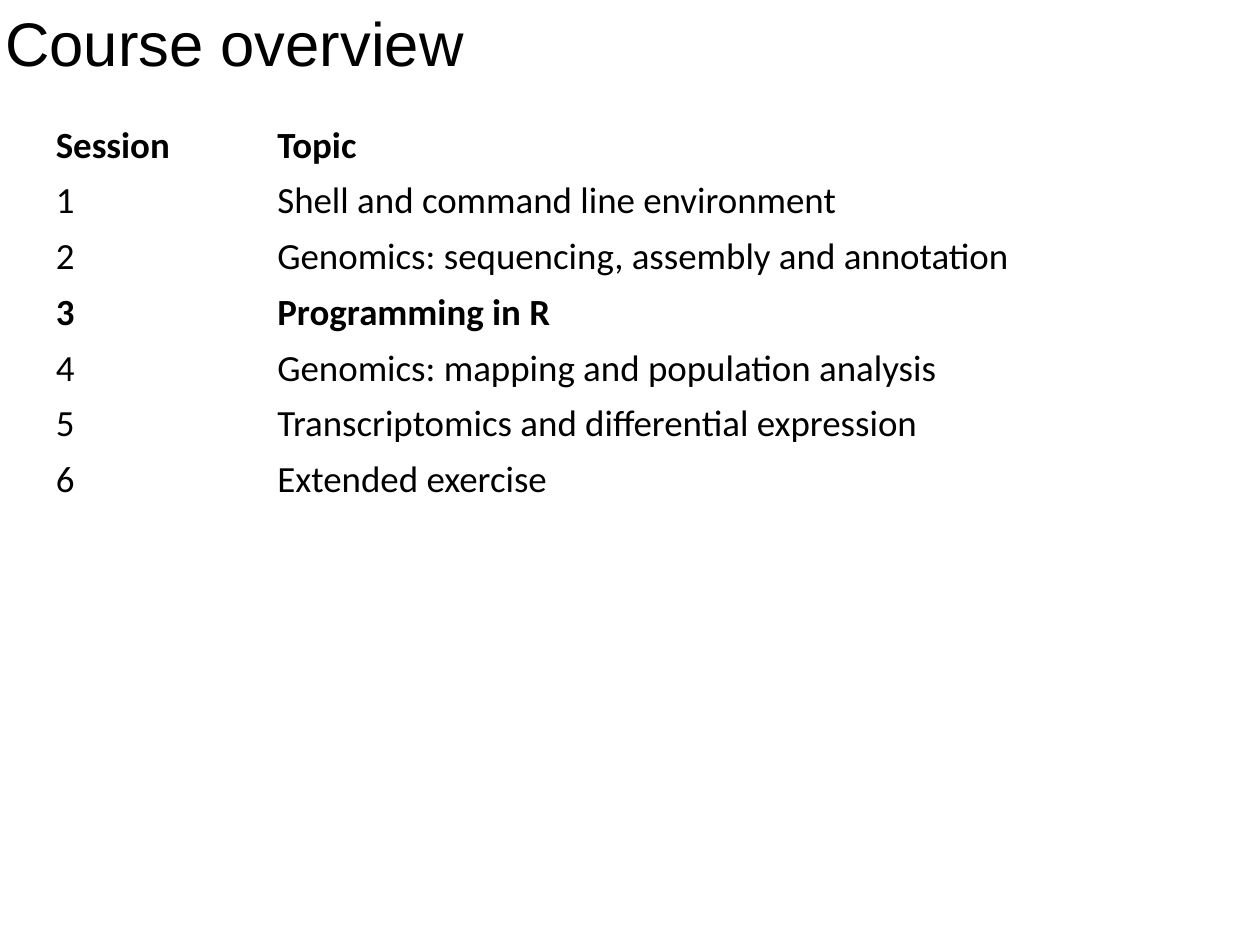
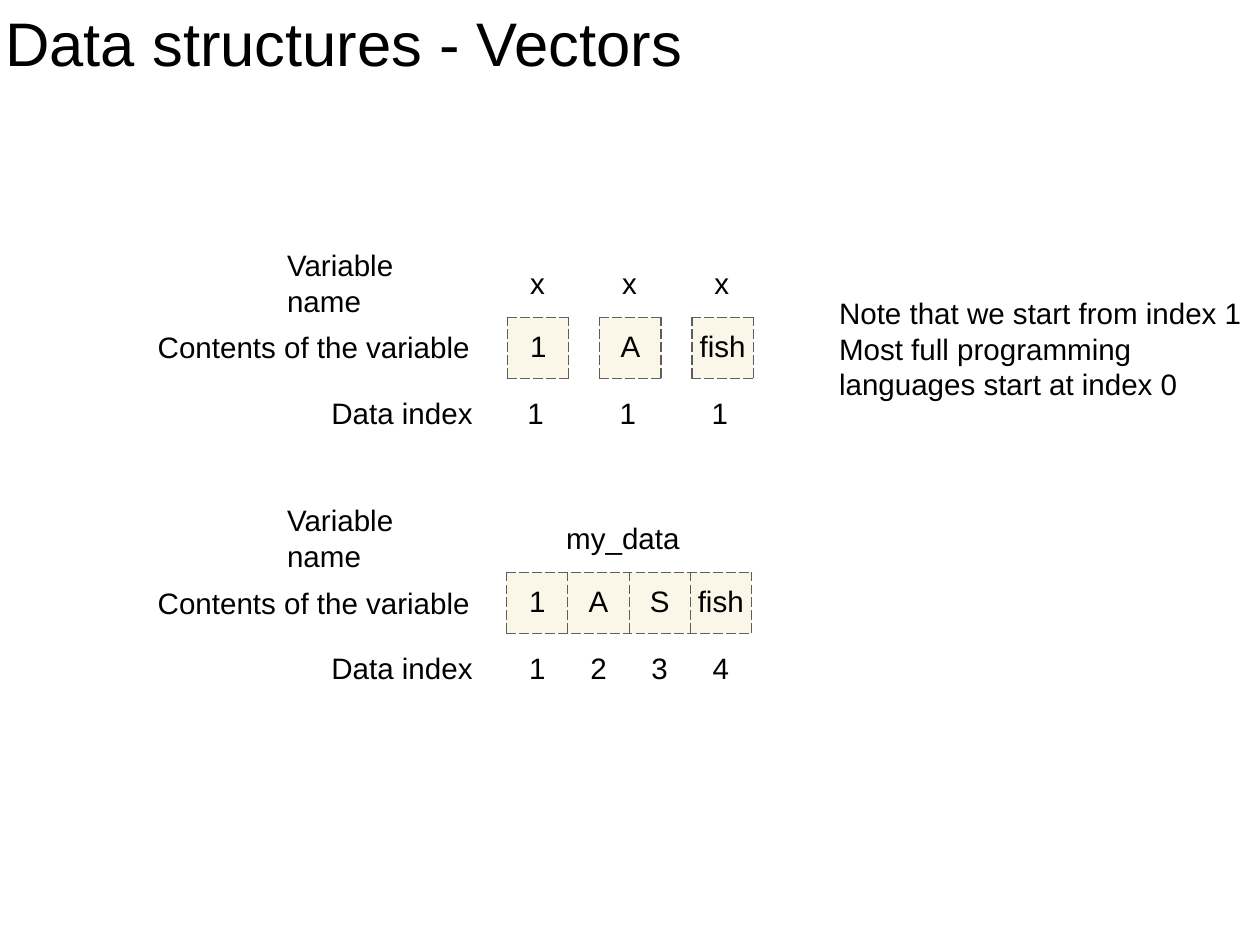
from dataclasses import dataclass

from lxml import etree
from pptx import Presentation
from pptx.dml.color import RGBColor
from pptx.enum.text import MSO_ANCHOR, MSO_AUTO_SIZE, PP_ALIGN
from pptx.oxml.ns import qn
from pptx.util import Inches, Pt

LEFT, CENTER = PP_ALIGN.LEFT, PP_ALIGN.CENTER
TOP, MIDDLE = MSO_ANCHOR.TOP, MSO_ANCHOR.MIDDLE
NO_FIT = MSO_AUTO_SIZE.NONE


@dataclass(frozen=True)
class Theme:
    ink: str = "000000"
    cell: str = "FAF7E9"
    side: str = "5D5D5D"
    edge: str = "606060"
    sans: str = "Arial"
    grid: str = "Calibri"
    head: int = 50
    body: int = 24
    list: int = 30
    line: int = 1
    inset: float = 0.06


class Deck:
    def __init__(self, theme):
        self.theme = theme
        self.prs = Presentation()
        self.prs.slide_width = Inches(14.22)
        self.prs.slide_height = Inches(10.67)
        self.slide = None

    def style(self, para, size, name, align=LEFT, bold=False):
        para.alignment = align
        font = para.font
        font.size, font.name, font.bold = Pt(size), name, bold
        font.color.rgb = RGBColor.from_string(self.theme.ink)

    def pad(self, item):
        gap = Inches(self.theme.inset)
        item.margin_left = item.margin_right = gap
        item.margin_top = item.margin_bottom = gap

    def page(self, title, width, height):
        self.slide = self.prs.slides.add_slide(self.prs.slide_layouts[5])
        box = self.slide.shapes.title
        box.left = box.top = 0
        box.width, box.height = Inches(width), Inches(height)
        frame = box.text_frame
        frame.text = title
        frame.auto_size = NO_FIT
        frame.vertical_anchor = TOP
        self.pad(frame)
        self.style(frame.paragraphs[0], self.theme.head, self.theme.sans)

    def text(self, words, left, top, width, height=0.5, align=LEFT, wrap=True):
        box = self.slide.shapes.add_textbox(
            Inches(left), Inches(top), Inches(width), Inches(height))
        frame = box.text_frame
        frame.text = words
        frame.word_wrap = wrap
        frame.vertical_anchor = MIDDLE
        self.pad(frame)
        self.style(frame.paragraphs[0], self.theme.body, self.theme.sans, align)

    def table(self, rows, left, top, cols, high):
        table = self.slide.shapes.add_table(
            len(rows), len(cols), Inches(left), Inches(top),
            Inches(sum(cols)), Inches(high * len(rows))).table
        table.first_row = table.horz_banding = False
        for col, width in zip(table.columns, cols):
            col.width = Inches(width)
        for row, words in zip(table.rows, rows):
            row.height = Inches(high)
            for cell, word in zip(row.cells, words):
                cell.text = word
                cell.vertical_anchor = MIDDLE
                self.pad(cell)
        return table

    def topics(self, rows, bold, left, top, cols, high):
        table = self.table(rows, left, top, cols, high)
        for num, row in enumerate(table.rows):
            for cell in row.cells:
                cell.fill.background()
                self.style(cell.text_frame.paragraphs[0], self.theme.list,
                           self.theme.grid, bold=num in bold)

    def vector(self, items, left, top, side):
        table = self.table([items], left, top, [side] * len(items), side)
        for cell in table.iter_cells():
            self.border(cell)
            cell.fill.solid()
            cell.fill.fore_color.rgb = RGBColor.from_string(self.theme.cell)
            self.style(cell.text_frame.paragraphs[0], self.theme.body,
                       self.theme.sans, CENTER)

    def border(self, cell):
        props = cell._tc.get_or_add_tcPr()
        side, edge = self.theme.side, self.theme.edge
        for tag, color in (("lnL", side), ("lnR", side),
                           ("lnT", edge), ("lnB", edge)):
            line = etree.SubElement(props, qn("a:" + tag),
                                    w=str(Pt(self.theme.line)))
            fill = etree.SubElement(line, qn("a:solidFill"))
            etree.SubElement(fill, qn("a:srgbClr"), val=color)
            etree.SubElement(line, qn("a:prstDash"), val="dash")

    def labels(self, top):
        right = 5.4
        for words, width, drop in (("Variable name", 2.22, 0),
                                   ("Contents of the variable", 3.68, 0.73),
                                   ("Data index", 1.72, 1.47)):
            self.text(words, right - width, top + drop, width)

    def mark(self, words, left, top, width=0.31):
        self.text(words, left, top, width, align=CENTER, wrap=False)


def main():
    deck = Deck(Theme())

    deck.page("Course overview", 7.04, 0.95)
    topics = [
        ("Session", "Topic"),
        ("1", "Shell and command line environment"),
        ("2", "Genomics: sequencing, assembly and annotation"),
        ("3", "Programming in R"),
        ("4", "Genomics: mapping and population analysis"),
        ("5", "Transcriptomics and differential expression"),
        ("6", "Extended exercise"),
    ]
    deck.topics(topics, {0, 3}, 0.57, 1.33, [2.5, 9.16], 0.62)

    deck.page("Data structures - Vectors", 11.44, 1.82)
    side, step, first, second = 0.69, 1.04, 2.94, 5.82
    for top in (first, second):
        deck.labels(top)

    for num, item in enumerate(["1", "A", "fish"]):
        shift = num * step
        deck.vector([item], 5.73 + shift, first + 0.64, side)
        deck.mark("x", 5.91 + shift, first)
        deck.mark("1", 5.89 + shift, first + 1.47)

    items = ["1", "A", "S", "fish"]
    deck.mark("my_data", 6.33, second, 1.4)
    deck.vector(items, 5.72, second + 0.64, side)
    for num in range(len(items)):
        deck.mark(str(num + 1), 5.91 + num * side, second + 1.47)

    deck.text("Note that we start from index 1 Most full programming "
              "languages start at index 0", 9.41, 3.28, 4.8, 1.31)

    deck.prs.save("out.pptx")


if __name__ == "__main__":
    main()
